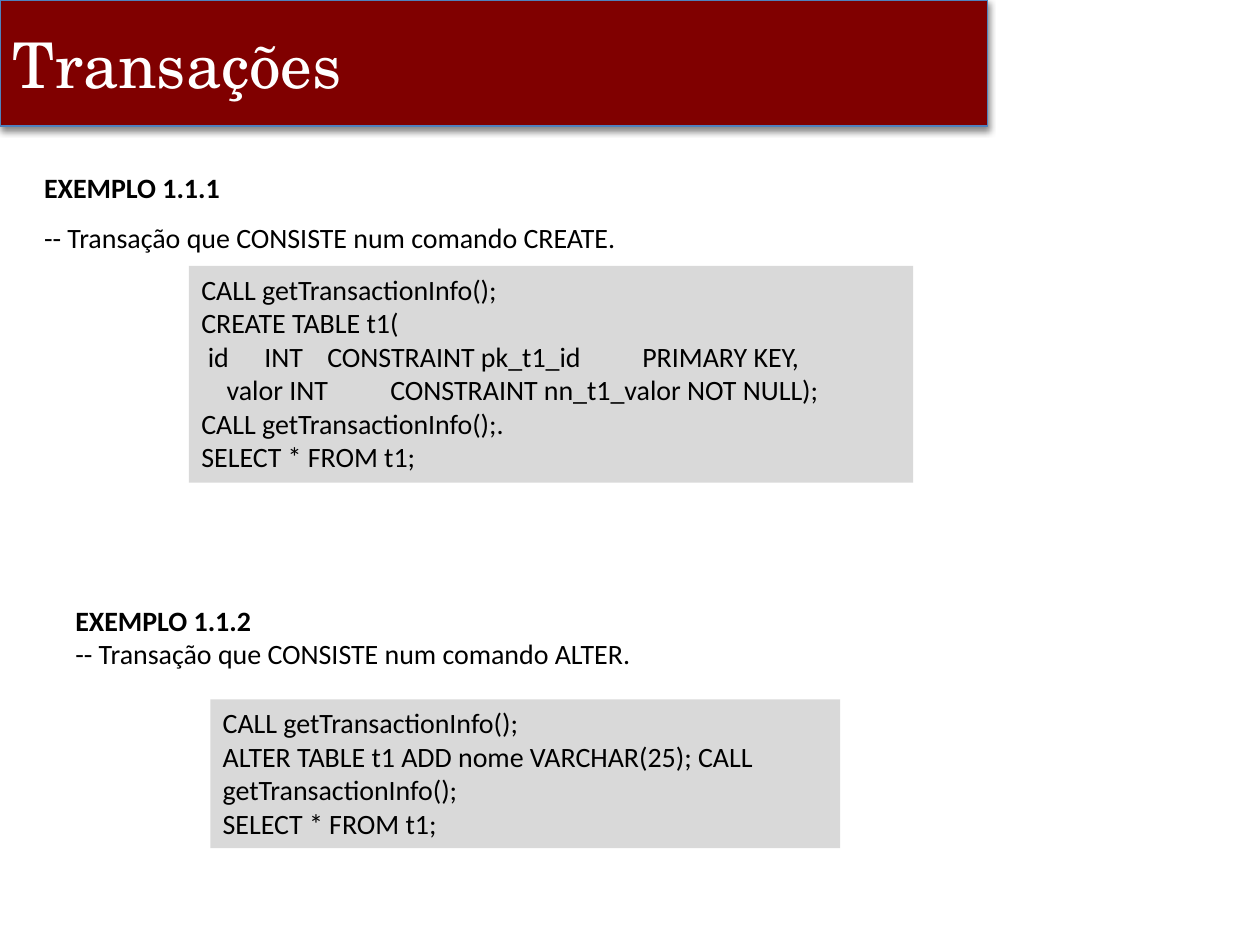
from dataclasses import dataclass

from lxml.etree import SubElement
from pptx import Presentation
from pptx.dml.color import RGBColor as Color
from pptx.enum.shapes import MSO_SHAPE as ShapeKind
from pptx.enum.text import MSO_ANCHOR as Anchor, PP_ALIGN as Align
from pptx.oxml import parse_xml
from pptx.oxml.ns import nsdecls, qn
from pptx.util import Cm, Pt


@dataclass(frozen=True)
class Theme:
    banner: str = "800000"
    banner_line: str = "4F81BD"
    banner_text: str = "FFFFFF"
    code_fill: str = "D9D9D9"
    text: str = "000000"
    title_font: str = "TeX Gyre Schola"
    body_font: str = "Calibri"
    title_size: float = 36
    body_size: float = 16


@dataclass(frozen=True)
class CodeLine:
    text: str
    indent: float = 0
    tabs: tuple = ()


def write(paragraph, text, *, font, size, color, bold=False, spacing=1.0, indent=0, tabs=()):
    paragraph.alignment = Align.LEFT
    paragraph.line_spacing = spacing
    run = paragraph.add_run()
    run.text = text
    run.font.name = font
    run.font.size = Pt(size)
    run.font.bold = bold
    run.font.color.rgb = Color.from_string(color)
    properties = paragraph._p.get_or_add_pPr()
    if indent:
        properties.set("marL", "0")
        properties.set("indent", str(Cm(indent)))
    if tabs:
        tab_list = SubElement(properties, qn("a:tabLst"))
        for position in tabs:
            SubElement(tab_list, qn("a:tab"), pos=str(Cm(position)), algn="l")


class SlideBuilder:
    def __init__(self, slide, theme):
        self.slide = slide
        self.theme = theme

    def title(self, text, left, top, width, height):
        shape = self.slide.shapes.title
        self.place(shape, left, top, width, height)
        self.fill(shape, self.theme.banner)
        shape.line.color.rgb = Color.from_string(self.theme.banner_line)
        shape.line.width = Pt(0.75)
        shape._element.spPr.append(parse_xml(
            f'<a:effectLst {nsdecls("a")}>'
            f'<a:outerShdw blurRad="{Pt(4)}" dist="{Pt(2)}" dir="5400000" rotWithShape="0">'
            '<a:srgbClr val="000000"><a:alpha val="45000"/></a:srgbClr>'
            '</a:outerShdw></a:effectLst>'))
        shape.text_frame.vertical_anchor = Anchor.MIDDLE
        write(shape.text_frame.paragraphs[0], text, font=self.theme.title_font,
              size=self.theme.title_size, color=self.theme.banner_text)

    def heading(self, name, description, left, top, width, height, spacing=1.0):
        shape = self.slide.shapes.add_textbox(Cm(left), Cm(top), Cm(width), Cm(height))
        self.lines(shape, [
            (name, {"bold": True, "spacing": spacing}),
            (description, {"spacing": spacing}),
        ])

    def code(self, code_lines, left, top, width, height):
        shape = self.slide.shapes.add_shape(
            ShapeKind.RECTANGLE, Cm(left), Cm(top), Cm(width), Cm(height))
        shape.shadow.inherit = False
        self.fill(shape, self.theme.code_fill)
        shape.line.fill.background()
        self.lines(shape, [
            (line.text, {"indent": line.indent, "tabs": line.tabs}) for line in code_lines
        ])

    def lines(self, shape, entries):
        frame = shape.text_frame
        frame.word_wrap = True
        frame.vertical_anchor = Anchor.TOP
        for index, (text, options) in enumerate(entries):
            paragraph = frame.add_paragraph() if index else frame.paragraphs[0]
            write(paragraph, text, font=self.theme.body_font, size=self.theme.body_size,
                  color=self.theme.text, **options)

    def fill(self, shape, color):
        shape.fill.solid()
        shape.fill.fore_color.rgb = Color.from_string(color)

    def place(self, shape, left, top, width, height):
        shape.left, shape.top = Cm(left), Cm(top)
        shape.width, shape.height = Cm(width), Cm(height)


def main():
    presentation = Presentation()
    presentation.slide_width = Cm(25.4)
    presentation.slide_height = Cm(19.05)
    slide = presentation.slides.add_slide(presentation.slide_layouts[5])
    builder = SlideBuilder(slide, Theme())

    builder.title("Transações", 0, 0, 19.91, 2.54)
    builder.heading("EXEMPLO 1.1.1", "-- Transação que CONSISTE num comando CREATE.",
                    0.64, 2.97, 18.21, 2.21, spacing=1.5)
    builder.code([
        CodeLine("CALL getTransactionInfo();"),
        CodeLine("CREATE TABLE t1("),
        CodeLine("id\tINT\tCONSTRAINT pk_t1_id\tPRIMARY KEY,", 0.13, (1.07, 2.06, 7.7)),
        CodeLine("valor INT\tCONSTRAINT nn_t1_valor NOT NULL);", 0.51, (2.82,)),
        CodeLine("CALL getTransactionInfo();."),
        CodeLine("SELECT * FROM t1;"),
    ], 3.81, 5.36, 14.6, 4.37)
    builder.heading("EXEMPLO 1.1.2", "-- Transação que CONSISTE num comando ALTER.",
                    1.27, 12.04, 12.7, 1.63)
    builder.code([
        CodeLine("CALL getTransactionInfo();"),
        CodeLine("ALTER TABLE t1 ADD nome VARCHAR(25); CALL getTransactionInfo();"),
        CodeLine("SELECT * FROM t1;"),
    ], 4.24, 14.1, 12.7, 3)

    presentation.save("out.pptx")


if __name__ == "__main__":
    main()
